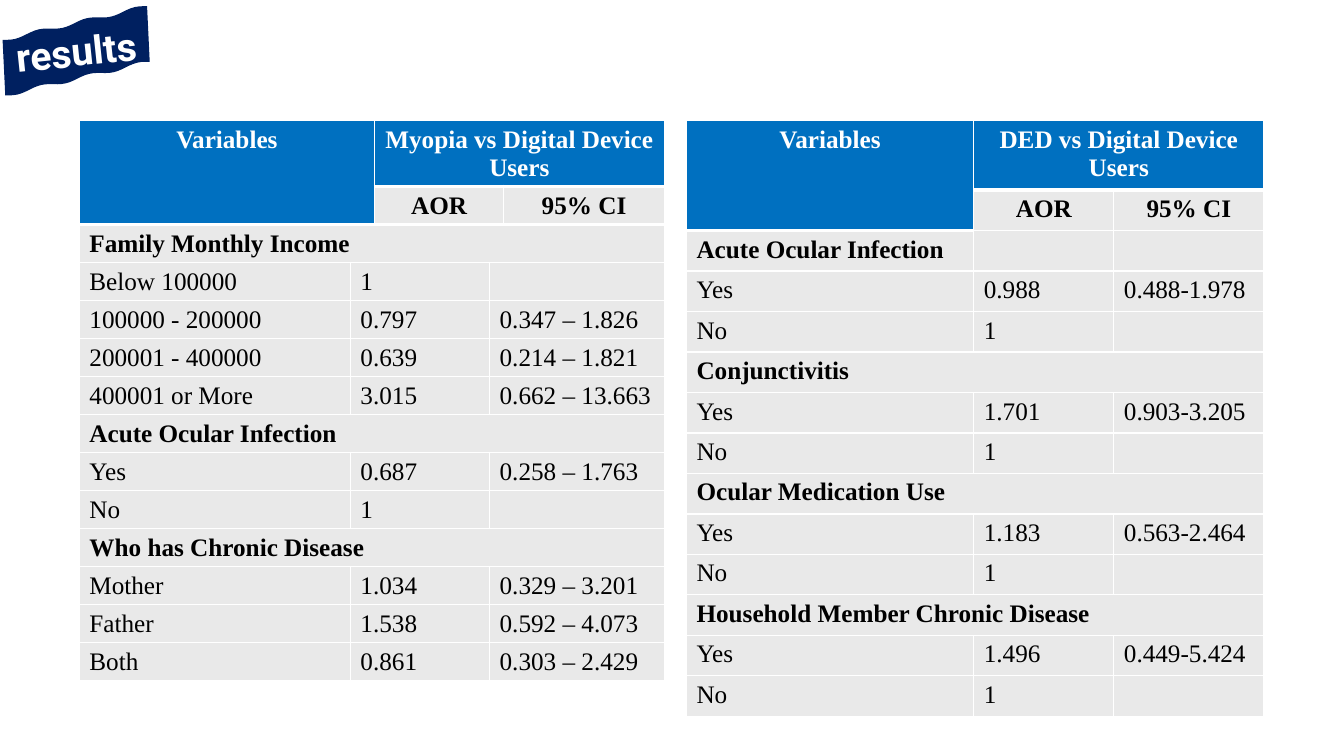
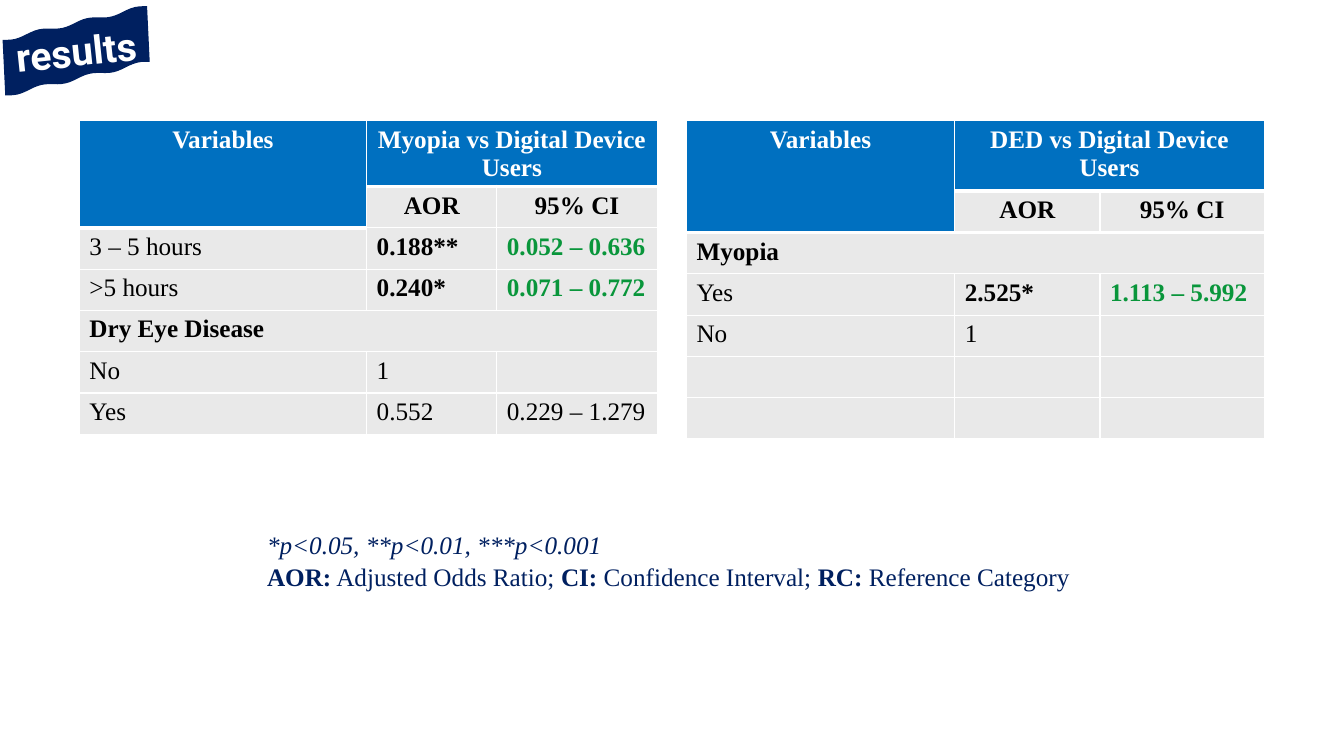
from dataclasses import dataclass
from math import pi, sin
from typing import Any

from lxml.etree import SubElement
from pptx import Presentation
from pptx.dml.color import RGBColor
from pptx.enum.text import MSO_ANCHOR as Anchor, PP_ALIGN as Align
from pptx.oxml.ns import qn
from pptx.util import Cm, Pt

NAVY, BLUE, GREY, GREEN = "002060", "0070C0", "E9E9E9", "09963B"
WHITE, BLACK = "FFFFFF", "000000"
BODY_FONT = {"name": "Times New Roman", "size": Pt(18)}
BANNER_FONT = {"name": "Roboto", "size": Pt(28), "bold": True}
NO_MARGINS = {"margin_left": 0, "margin_right": 0, "margin_top": 0, "margin_bottom": 0}
TABLE_TOP, LEFT_TABLE, RIGHT_TABLE = 3.04, 2.0, 17.3


@dataclass(frozen=True)
class Row:
    label: str = ""
    ratio: str = ""
    interval: str = ""
    heading: bool = False
    merged: bool = False
    significant: bool = False


@dataclass(frozen=True)
class ResultTable:
    title: str
    left: float
    widths: tuple[float, ...]
    title_height: float
    row_height: float
    rows: tuple[Row, ...]
    header_starts: tuple[int, ...] = (0, 1, 2)
    body_starts: tuple[int, ...] = (0, 1, 2)


def section(label: str) -> Row:
    return Row(label, heading=True, merged=True)


def yes_no(ratio: str, interval: str) -> tuple[Row, Row]:
    return Row("Yes", ratio, interval), Row("No", "1")


MYOPIA_FACTORS = ResultTable(
    "Myopia vs Digital Device Users", LEFT_TABLE, (6.83, 0.41, 2.9, 0.36, 4.04), 1.55, 0.89,
    (
        section("Family Monthly Income"),
        Row("Below 100000", "1"),
        Row("100000 - 200000", "0.797", "0.347 – 1.826"),
        Row("200001 - 400000", "0.639", "0.214 – 1.821"),
        Row("400001 or More", "3.015", "0.662 – 13.663"),
        section("Acute Ocular Infection"),
        *yes_no("0.687", "0.258 – 1.763"),
        section("Who has Chronic Disease"),
        Row("Mother", "1.034", "0.329 – 3.201"),
        Row("Father", "1.538", "0.592 – 4.073"),
        Row("Both", "0.861", "0.303 – 2.429"),
    ),
    header_starts=(0, 2, 4), body_starts=(0, 1, 3),
)
DRY_EYE_FACTORS = ResultTable(
    "DED vs Digital Device Users", RIGHT_TABLE, (7.24, 3.53, 3.78), 1.75, 1.02,
    (
        Row("Acute Ocular Infection", heading=True),
        *yes_no("0.988", "0.488-1.978"),
        section("Conjunctivitis"),
        *yes_no("1.701", "0.903-3.205"),
        section("Ocular Medication Use"),
        *yes_no("1.183", "0.563-2.464"),
        section("Household Member Chronic Disease"),
        *yes_no("1.496", "0.449-5.424"),
    ),
)
MYOPIA_HOURS = ResultTable(
    "Myopia vs Digital Device Users", LEFT_TABLE, (7.24, 3.28, 4.04), 1.04, 1.04,
    (
        Row("3 – 5 hours", "0.188**", "0.052 – 0.636", significant=True),
        Row(">5 hours", "0.240*", "0.071 – 0.772", significant=True),
        section("Dry Eye Disease"),
        Row("No", "1"),
        Row("Yes", "0.552", "0.229 – 1.279"),
    ),
)
DRY_EYE_MYOPIA = ResultTable(
    "DED vs Digital Device Users", RIGHT_TABLE, (6.76, 3.66, 4.14), 1.78, 1.04,
    (
        section("Myopia"),
        Row("Yes", "2.525*", "1.113 – 5.992", significant=True),
        Row("No", "1"),
        Row(),
        Row(),
    ),
)


def color(value: str) -> RGBColor:
    return RGBColor.from_string(value)


def apply_format(target: Any, values: dict[str, Any]) -> None:
    for name, value in values.items():
        setattr(target, name, value)


def add_run(paragraph: Any, text: str, font_color: str, values: dict[str, Any]) -> None:
    run = paragraph.add_run()
    run.text = text
    apply_format(run.font, values)
    run.font.color.rgb = color(font_color)


def paint_cell(cell: Any, fill: str, bottom_width: int) -> None:
    properties = cell._tc.get_or_add_tcPr()
    for side, width in (("L", 1), ("R", 1), ("T", 1), ("B", bottom_width)):
        line = SubElement(properties, qn(f"a:ln{side}"), w=str(Pt(width)))
        solid = SubElement(line, qn("a:solidFill"))
        SubElement(solid, qn("a:srgbClr"), val=WHITE)
    cell.fill.solid()
    cell.fill.fore_color.rgb = color(fill)


def write_cell(cell: Any, text: str, bold: bool, font_color: str = BLACK,
               align: Any = Align.LEFT) -> None:
    paragraph = cell.text_frame.paragraphs[0]
    paragraph.alignment = align
    apply_format(paragraph.font, BODY_FONT)
    if text:
        add_run(paragraph, text, font_color, {**BODY_FONT, "bold": bold})


def merge_row(table: Any, row: int, starts: tuple[int, ...], last: int) -> None:
    ends = [start - 1 for start in starts[1:]] + [last]
    for start, end in zip(starts, ends):
        if end > start:
            table.cell(row, start).merge(table.cell(row, end))


def add_result_table(slide: Any, data: ResultTable) -> None:
    heights = [data.title_height] + [data.row_height] * (len(data.rows) + 1)
    frame = slide.shapes.add_table(len(heights), len(data.widths), Cm(data.left), Cm(TABLE_TOP),
                                   Cm(sum(data.widths)), Cm(sum(heights)))
    table = frame.table
    apply_format(table, {"first_row": False, "horz_banding": False})
    for column, width in zip(table.columns, data.widths):
        column.width = Cm(width)
    last = len(data.widths) - 1
    variables, ratio, interval = data.header_starts
    for index, height in enumerate(heights):
        table.rows[index].height = Cm(height)
        for column in range(last + 1):
            is_header = index == 0 or (index == 1 and column < ratio)
            paint_cell(table.cell(index, column), BLUE if is_header else GREY,
                       3 if index == 0 else 1)

    table.cell(0, variables).merge(table.cell(1, ratio - 1))
    table.cell(0, ratio).merge(table.cell(0, last))
    if interval > ratio + 1:
        table.cell(1, ratio).merge(table.cell(1, interval - 1))
    for row, column, text, font_color in (
        (0, variables, "Variables", WHITE), (0, ratio, data.title, WHITE),
        (1, ratio, "AOR", BLACK), (1, interval, "95% CI", BLACK),
    ):
        write_cell(table.cell(row, column), text, True, font_color, Align.CENTER)

    for index, row in enumerate(data.rows, start=2):
        starts = (0,) if row.merged else data.body_starts
        merge_row(table, index, starts, last)
        contents = (
            (row.label, row.heading, BLACK),
            (row.ratio, row.significant, BLACK),
            (row.interval, row.significant, GREEN if row.significant else BLACK),
        )
        for start, content in zip(starts, contents):
            write_cell(table.cell(index, start), *content)


def add_banner(slide: Any) -> None:
    """Draw the slanted, wavy flag that carries the section name."""
    steps = [step / 36 for step in range(37)]
    outline = [(along, 0) for along in steps] + [(along, 1) for along in reversed(steps)]
    points = [
        (Cm(3.71 * along - 0.08 * down),
         Cm(0.5 - 0.46 * along + 1.4 * down + 0.05 * sin(6 * pi * along)))
        for along, down in outline
    ]
    builder = slide.shapes.build_freeform(*points[0])
    builder.add_line_segments(points[1:], close=True)
    banner = builder.convert_to_shape()
    apply_format(banner, {"left": Cm(1.92) - banner.width // 2,
                          "top": Cm(1.28) - banner.height // 2, "rotation": -6})
    banner.shadow.inherit = False
    banner.fill.solid()
    banner.fill.fore_color.rgb = color(NAVY)
    banner.line.fill.background()
    frame = banner.text_frame
    apply_format(frame, {**NO_MARGINS, "word_wrap": False, "vertical_anchor": Anchor.MIDDLE})
    paragraph = frame.paragraphs[0]
    paragraph.alignment = Align.CENTER
    add_run(paragraph, "results", WHITE, BANNER_FONT)


def add_footnote(slide: Any) -> None:
    frame = slide.shapes.add_textbox(Cm(6.48), Cm(13.16), Cm(20.9), Cm(1.8)).text_frame
    frame.word_wrap = True
    levels, terms = frame.paragraphs[0], frame.add_paragraph()
    for paragraph in (levels, terms):
        paragraph.line_spacing = 1.07
    add_run(levels, "*p<0.05, **p<0.01, ***p<0.001", NAVY, {**BODY_FONT, "italic": True})
    for term, meaning in (("AOR:", " Adjusted Odds Ratio; "), ("CI:", " Confidence Interval; "),
                          ("RC:", " Reference Category")):
        add_run(terms, term, NAVY, {**BODY_FONT, "bold": True})
        add_run(terms, meaning, NAVY, BODY_FONT)


def add_result_slide(presentation: Any, *tables: ResultTable) -> Any:
    slide = presentation.slides.add_slide(presentation.slide_layouts[6])
    add_banner(slide)
    for data in tables:
        add_result_table(slide, data)
    return slide


def main() -> None:
    presentation = Presentation()
    apply_format(presentation, {"slide_width": Cm(33.87), "slide_height": Cm(19.05)})
    add_result_slide(presentation, MYOPIA_FACTORS, DRY_EYE_FACTORS)
    add_footnote(add_result_slide(presentation, MYOPIA_HOURS, DRY_EYE_MYOPIA))
    presentation.save("out.pptx")


if __name__ == "__main__":
    main()
